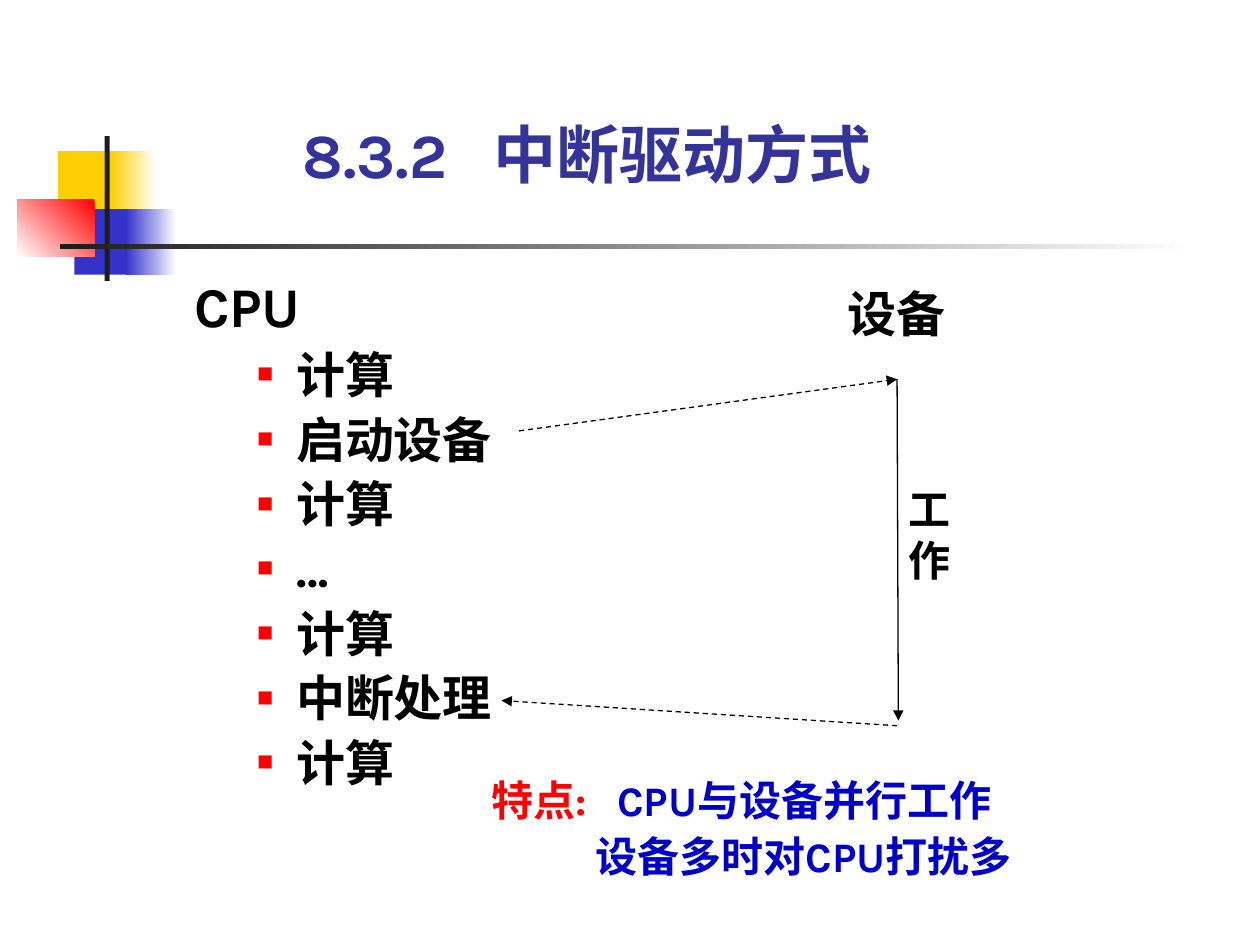
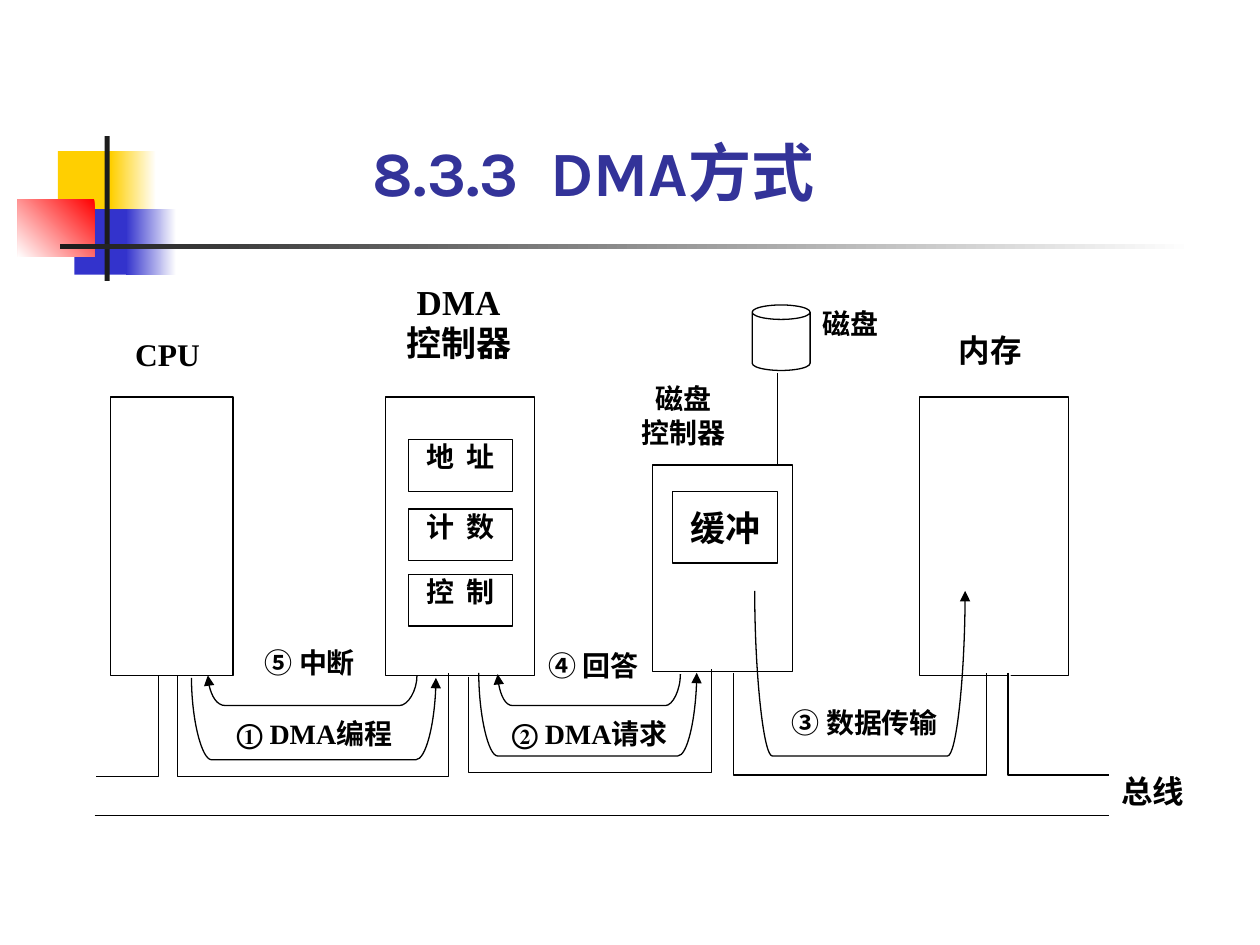
from dataclasses import dataclass
from lxml.etree import Element, SubElement
from pptx import Presentation
from pptx.dml.color import RGBColor
from pptx.enum.dml import MSO_LINE
from pptx.enum.shapes import MSO_CONNECTOR, MSO_SHAPE
from pptx.enum.text import MSO_ANCHOR, MSO_AUTO_SIZE, PP_ALIGN
from pptx.oxml.ns import qn
from pptx.util import Emu, Pt

PX = 9144  # 100 px to the inch


@dataclass(frozen=True)
class Theme:
    title_font: str = "Karla"
    label_font: str = "Times New Roman"
    title: str = "333399"
    ink: str = "000000"
    paper: str = "FFFFFF"
    red: str = "FF0000"
    blue: str = "0000C8"
    yellow: str = "FFCF01"
    violet: str = "3333CC"
    rule: str = "1C1C1C"
    title_pt: int = 36
    head_pt: int = 32
    item_pt: int = 28
    note_pt: int = 24
    large_pt: int = 20
    name_pt: int = 18
    small_pt: int = 16
    line_pt: float = 0.75


T = Theme()


def px(*values):
    return [Emu(round(v * PX)) for v in values]


def rgb(code):
    return RGBColor.from_string(code)


# ---- text ----
def set_frame(tf, insets=(0, 0), anchor=MSO_ANCHOR.TOP):
    tf.word_wrap = True
    tf.auto_size = MSO_AUTO_SIZE.NONE
    tf.vertical_anchor = anchor
    tf.margin_left = tf.margin_right = px(insets[0])[0]
    tf.margin_top = tf.margin_bottom = px(insets[1])[0]


def set_font(r, size, color=T.ink, name=T.label_font):
    f = r.font
    f.size, f.bold, f.name = Pt(size), True, name
    f.color.rgb = rgb(color)


def set_indent(p, left, hanging=0):
    pPr = p._p.get_or_add_pPr()
    pPr.set("marL", str(left * PX))
    pPr.set("indent", str(-hanging * PX))
    return pPr


def add_bullet(pPr):
    clr = SubElement(pPr, qn("a:buClr"))
    SubElement(clr, qn("a:srgbClr"), val=T.red)
    SubElement(pPr, qn("a:buSzPct"), val="55000")
    SubElement(pPr, qn("a:buFont"), typeface=T.label_font)
    SubElement(pPr, qn("a:buChar"), char="■")


def add_tab(p, pos):
    tabs = SubElement(p._p.get_or_add_pPr(), qn("a:tabLst"))
    SubElement(tabs, qn("a:tab"), pos=str(pos * PX), algn="l")


def write(tf, text, size, align=PP_ALIGN.LEFT, spacing=None, tracking=0):
    tf.text = text
    for p in tf.paragraphs:
        p.alignment = align
        if spacing:
            p.line_spacing = spacing
        for r in p.runs:
            set_font(r, size)
            if tracking:
                r._r.get_or_add_rPr().set("spc", str(tracking))


def add_text(slide, box, text="", size=T.item_pt, insets=(0, 0)):
    tf = slide.shapes.add_textbox(*px(*box)).text_frame
    set_frame(tf, insets)
    if text:
        write(tf, text, size)
    return tf


# ---- shapes and lines ----
def add_block(slide, box, fill=T.paper, outline=True, kind=MSO_SHAPE.RECTANGLE):
    s = slide.shapes.add_shape(kind, *px(*box))
    return paint(s, fill, outline)


def paint(s, fill, outline=True):
    s.shadow.inherit = False
    if fill:
        s.fill.solid()
        s.fill.fore_color.rgb = rgb(fill)
    else:
        s.fill.background()
    if outline:
        s.line.color.rgb = rgb(T.ink)
        s.line.width = Pt(T.line_pt)
    else:
        s.line.fill.background()
    return s


def add_label(slide, box, text, size=T.small_pt, insets=(2, 1), outline=False,
              align=PP_ALIGN.CENTER, **style):
    tf = add_block(slide, box, outline=outline).text_frame
    set_frame(tf, insets)
    write(tf, text, size, align, **style)


def add_arrowhead(s, end):
    SubElement(s.element.spPr.find(qn("a:ln")), qn(f"a:{end}"), type="triangle")


def add_line(slide, x1, y1, x2, y2, arrow=False, dashed=False):
    s = slide.shapes.add_connector(MSO_CONNECTOR.STRAIGHT, *px(x1, y1, x2, y2))
    s.line.color.rgb = rgb(T.ink)
    s.line.width = Pt(T.line_pt)
    if dashed:
        s.line.dash_style = MSO_LINE.DASH
    if arrow:
        add_arrowhead(s, "tailEnd")
    SubElement(s.element.spPr, qn("a:effectLst"))


def add_path(slide, points, fill=T.paper):
    points = [px(*pt) for pt in points]
    builder = slide.shapes.build_freeform(*points[0], scale=1.0)
    builder.add_line_segments(points[1:], close=False)
    return paint(builder.convert_to_shape(), fill)


def bend(s, segment, controls):
    """Turn a straight segment into a cubic curve with two control points."""
    segment.tag = qn("a:cubicBezTo")
    for i, point in enumerate(controls):
        x, y = px(*point)
        segment.insert(i, Element(qn("a:pt"), x=str(x - s.left), y=str(y - s.top)))


def add_loop(slide, x1, x2, top, bottom, corner, end, fill=T.paper):
    """U-shaped arrow: curved sides joined by a flat base."""
    mid, half = (top + bottom) / 2, corner / 2
    s = add_path(slide, [(x1, top), (x1 + corner, bottom),
                         (x2 - corner, bottom), (x2, top)], fill)
    left, _, right = list(s.element.spPr.iter(qn("a:lnTo")))
    bend(s, left, [(x1, mid), (x1 + half, bottom)])
    bend(s, right, [(x2 - half, bottom), (x2, mid)])
    add_arrowhead(s, end)


# ---- shared layout and title ----
def decorate(layout, slide):
    """Draw the ornament and move it into the layout."""
    parts = [
        ((46, 120, 48, 52), T.yellow, None, 0),
        ((88, 120, 36, 52), T.paper, T.yellow, 180),
        ((59, 166, 46, 52), T.violet, None, 0),
        ((100, 166, 40, 52), T.paper, T.violet, 180),
        ((14, 158, 61, 46), T.red, T.paper, 225),
        ((83, 108, 4, 115), T.rule, None, 0),
        ((48, 194, 900, 4), T.paper, T.rule, 180),
    ]
    for i, (box, start, stop, angle) in enumerate(parts):
        s = add_block(slide, box, start, outline=False)
        if stop:
            s.fill.gradient()
            s.fill.gradient_angle = angle
            for gs, color in zip(s.fill.gradient_stops, (start, stop)):
                gs.color.rgb = rgb(color)
        s.element.nvSpPr.cNvPr.set("id", str(100 + i))
        layout.shapes.element.append(s.element)


def set_title(slide, box, text, tab, anchor):
    s = slide.shapes.title
    s.left, s.top, s.width, s.height = px(*box)
    set_frame(s.text_frame, anchor=anchor)
    s.text_frame.text = text
    p = s.text_frame.paragraphs[0]
    p.alignment = PP_ALIGN.LEFT
    add_tab(p, tab)
    set_font(p.runs[0], T.title_pt, T.title, T.title_font)


# ---- slide 1 regions ----
def cpu_steps(slide, box):
    tf = add_text(slide, box)
    steps = ["CPU", "计算", "启动设备", "计算", "…", "计算", "中断处理", "计算"]
    tf.text = "\n".join(steps)
    for i, p in enumerate(tf.paragraphs):
        p.line_spacing = 1.1
        if i:
            p.level = 1
            add_bullet(set_indent(p, 81, 31))
        else:
            set_indent(p, 38, 38)
        set_font(p.runs[0], T.item_pt if i else T.head_pt, name=T.title_font)


def device_timeline(slide, x, y):
    add_text(slide, (x + 275, y, 85, 47), "设备")
    add_line(slide, x + 314, y + 76, x + 315, y + 347, arrow=True)
    add_text(slide, (x + 323, y + 159, 31, 80), "工作", T.note_pt)
    add_line(slide, x + 14, y + 117, x + 314, y + 76, arrow=True, dashed=True)
    add_line(slide, x + 314, y + 351, x, y + 331, arrow=True, dashed=True)


def features(slide, box):
    tf = add_text(slide, box)
    first, second = tf.paragraphs[0], tf.add_paragraph()
    first.text = "特点:"
    first.add_run().text = "\tCPU与设备并行工作"
    second.text = "设备多时对CPU打扰多"
    for p in (first, second):
        p.line_spacing = 1.1
        for r in p.runs:
            set_font(r, T.note_pt, T.blue, T.title_font)
    first.runs[0].font.color.rgb = rgb(T.red)
    add_tab(first, 100)
    set_indent(second, 83)


# ---- slide 2 regions ----
def memory(slide, x, y):
    add_label(slide, (x + 11, y - 53, 90, 46), "内存", T.name_pt)
    add_block(slide, (x, y, 118, 221))


def cpu(slide, x, y):
    add_label(slide, (x + 6, y - 50, 78, 43), "CPU", T.name_pt)
    add_block(slide, (x, y, 97, 221))


def dma_controller(slide, x, y):
    add_label(slide, (x + 13, y - 90, 90, 75), "DMA\n控制器", T.large_pt, (2, 0),
              spacing=0.96)
    for text, dy in (("地 址", 34), ("计 数", 89), ("控 制", 141)):
        add_label(slide, (x + 18, y + dy, 83, 41), text, insets=(2, 0),
                  outline=True, tracking=150)
    add_block(slide, (x, y, 118, 221), fill=None)


def disk_controller(slide, x, y):
    add_label(slide, (x + 16, y + 21, 83, 57), "缓冲", T.large_pt, (0, 12), outline=True)
    add_block(slide, (x + 79, y - 127, 46, 52), kind=MSO_SHAPE.CAN)
    add_line(slide, x + 99, y - 73, x + 99, y)
    add_label(slide, (x + 133, y - 127, 61, 52), "磁盘", align=PP_ALIGN.LEFT)
    add_label(slide, (x - 16, y - 67, 81, 65), "磁盘\n控制器")
    add_block(slide, (x, y, 111, 164), fill=None)


def bus(slide, x, y):
    top = y - 113
    add_path(slide, [(x + 51, top), (x + 51, y - 31), (x + 1, y - 31)])
    # Upper edge between neighbouring units: left, right, left top, right top, base, fill
    for x1, x2, t1, t2, base, fill in ((66, 281, 0, 0, 31, T.paper),
                                       (297, 490, 3, -3, 34, T.paper),
                                       (507, 708, 0, 0, 32, None)):
        add_path(slide, [(x + x1, top + t1), (x + x1, y - base),
                         (x + x2, y - base), (x + x2, top + t2)], fill)
    add_path(slide, [(x + 725, top), (x + 725, y - 32), (x + 805, y - 32)])
    add_line(slide, x, y, x + 805, y)
    add_text(slide, (x + 813, y - 35, 71, 55), "总线", T.name_pt, (2, 1))


def transfers(slide, x, y):
    def loop(x1, x2, top, bottom, *rest):
        add_loop(slide, x + x1, x + x2, y + top, y + bottom, *rest)

    loop(0, 194, 4, 69, 16, "tailEnd")
    loop(13, 179, 2, 26, 14, "headEnd")
    loop(243, 388, 1, 26, 12, "headEnd")
    for text, box in (("① DMA编程", (31, 34, 133, 32)),
                      ("② DMA请求", (243, 34, 146, 32)),
                      ("③ 数据传输", (471, 25, 127, 41)),
                      ("④ 回答", (274, -20, 90, 41)),
                      ("⑤ 中断", (43, -23, 102, 40))):
        dx, dy, w, h = box
        add_label(slide, (x + dx, y + dy, w, h), text)
    loop(228, 401, 0, 66, 15, "tailEnd", None)
    loop(447, 614, -65, 66, 14, "tailEnd", None)


# ---- slides ----
def interrupt_slide(slide):
    set_title(slide, (240, 92, 473, 60), "8.3.2\t中断驱动方式", 152, MSO_ANCHOR.MIDDLE)
    cpu_steps(slide, (154, 210, 291, 418))
    device_timeline(slide, 398, 225)
    features(slide, (390, 611, 473, 88))


def dma_slide(slide):
    set_title(slide, (296, 106, 409, 60), "8.3.3\tDMA方式", 141, MSO_ANCHOR.BOTTOM)
    memory(slide, 730, 315)
    bus(slide, 75, 647)
    transfers(slide, 152, 534)
    cpu(slide, 88, 315)
    dma_controller(slide, 306, 315)
    disk_controller(slide, 518, 369)


def main():
    prs = Presentation()
    prs.slide_width, prs.slide_height = px(1000, 750)
    layout = prs.slide_layouts[5]
    first, second = (prs.slides.add_slide(layout) for _ in range(2))
    decorate(layout, first)
    interrupt_slide(first)
    dma_slide(second)
    prs.save("out.pptx")


if __name__ == "__main__":
    main()
